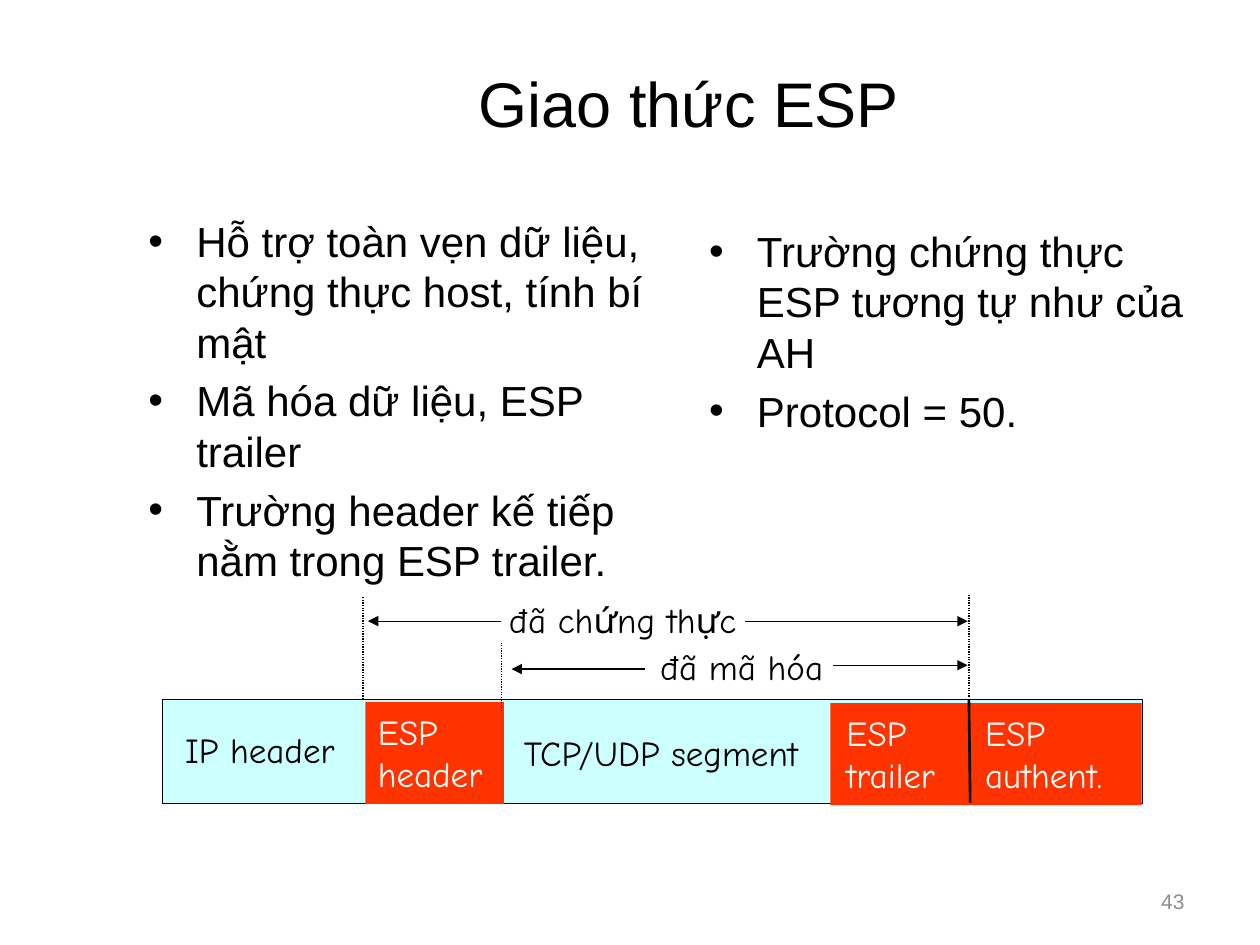
from lxml import etree
from pptx import Presentation
from pptx.dml.color import RGBColor
from pptx.enum.dml import MSO_LINE
from pptx.enum.shapes import MSO_CONNECTOR, MSO_SHAPE
from pptx.enum.text import MSO_ANCHOR, PP_ALIGN
from pptx.oxml.ns import qn
from pptx.util import Inches, Pt

COLORS = {"black": "000000", "white": "FFFFFF", "grey": "8C8C8C", "cyan": "CCFFFF", "red": "FF3300"}
BODY, LABEL = "Arial", "Comic Neue"


def color(name):
    """Return the named colour."""
    return RGBColor.from_string(COLORS[name])


def add_bullet(p):
    """Give a paragraph a hanging bullet."""
    pPr = p._p.get_or_add_pPr()
    pPr.set("marL", str(Inches(0.38)))
    pPr.set("indent", str(-Inches(0.38)))
    etree.SubElement(pPr, qn("a:buFont")).set("typeface", BODY)
    etree.SubElement(pPr, qn("a:buChar")).set("char", "•")


def add_text(s, box, *lines, size=20, font=LABEL, fill="black", align=PP_ALIGN.LEFT,
             anchor=MSO_ANCHOR.TOP, wrap=False, bullet=False):
    """Add a text box with one paragraph per line."""
    tf = s.shapes.add_textbox(*map(Inches, box)).text_frame
    tf.word_wrap = wrap
    tf.vertical_anchor = anchor
    for i, line in enumerate(lines):
        p = tf.add_paragraph() if i else tf.paragraphs[0]
        p.alignment = align
        if bullet:
            p.space_before = Pt(size * 0.2)
            add_bullet(p)
        r = p.add_run()
        r.text = line
        r.font.size, r.font.name = Pt(size), font
        r.font.color.rgb = color(fill)


def add_rect(s, box, fill, outline=None):
    """Add a filled rectangle, outlined if a colour is given."""
    sp = s.shapes.add_shape(MSO_SHAPE.RECTANGLE, *map(Inches, box))
    sp.shadow.inherit = False
    sp.fill.solid()
    sp.fill.fore_color.rgb = color(fill)
    if outline:
        sp.line.color.rgb = color(outline)
        sp.line.width = Pt(0.75)
    else:
        sp.line.fill.background()


def add_line(s, start, end, width=0.75, arrow=False, dotted=False):
    """Add a straight black line, with an arrowhead at its end if asked."""
    c = s.shapes.add_connector(MSO_CONNECTOR.STRAIGHT, *map(Inches, (*start, *end)))
    c.line.color.rgb = color("black")
    c.line.width = Pt(width)
    if dotted:
        c.line.dash_style = MSO_LINE.ROUND_DOT
    if arrow:
        etree.SubElement(c.line._get_or_add_ln(), qn("a:tailEnd")).set("type", "triangle")
    etree.SubElement(c._element.spPr, qn("a:effectLst"))


def add_packet(s, x, y, w, h):
    """Draw the packet bar with its plain and ESP fields."""
    add_rect(s, (x, y, w, h), "cyan", "black")
    add_text(s, (x + 0.08, y + 0.18, 1.48, 0.43), "IP header")
    add_text(s, (x + 2.77, y + 0.21, 2.56, 0.43), "TCP/UDP segment")
    esp_fields = [("header", 1.61, 0.02, 1.1, 0), ("trailer", 5.3, 0.03, 1.1, 0.03),
                  ("authent.", 6.38, 0.03, 1.39, 0.05)]
    for name, dx, dy, width, inset in esp_fields:
        add_rect(s, (x + dx, y + dy, width, 0.81), "red")
        add_text(s, (x + dx + inset, y + dy + 0.02, width, 0.77), "ESP", name, fill="white")
    add_line(s, (x + 6.4, y), (x + 6.41, y + 0.82), width=1.5)


def add_spans(s, x, y, w, h):
    """Draw the authenticated and encrypted spans with their dotted limits."""
    right = x + w
    for left, top, bottom in [(x, y + 0.02, y + h), (right, y, y + h - 0.02),
                              (x + 1.1, y + 0.38, y + h + 0.09)]:
        add_line(s, (left, top), (left, bottom), dotted=True)
    spans = [("đã chứng thực", (x + 1.06, y - 0.02, 2.02, 0.44), x + 0.04, x + 3.03, 0.21, 0.21),
             ("đã mã hóa", (x + 2.26, y + 0.35, 1.5, 0.44), x + 1.18, x + 3.73, 0.59, 0.56)]
    for label, box, tip, tail, left_y, right_y in spans:
        add_text(s, box, label)
        add_line(s, (tip + 1.06, y + left_y), (tip, y + left_y), arrow=True)
        add_line(s, (tail, y + right_y), (right - 0.01, y + right_y), arrow=True)


def add_title(s, box):
    """Place the slide title."""
    add_text(s, box, "Giao thức ESP", size=36, font=BODY, wrap=True,
             align=PP_ALIGN.CENTER, anchor=MSO_ANCHOR.MIDDLE)


def add_bullets(s, box, *items):
    """Place one column of bullets."""
    add_text(s, box, *items, size=24, font=BODY, wrap=True, bullet=True)


def add_number(s, box):
    """Place the slide number."""
    add_text(s, box, "43", size=12, font=BODY, fill="grey", wrap=True,
             align=PP_ALIGN.RIGHT, anchor=MSO_ANCHOR.MIDDLE)


def main():
    """Build and save the slide."""
    prs = Presentation()
    prs.slide_width, prs.slide_height = Inches(10), Inches(7.5)
    s = prs.slides.add_slide(prs.slide_layouts[6])
    add_title(s, (1.17, 0.3, 8.6, 1.03))
    add_bullets(s, (1.08, 1.66, 4.39, 3.05),
                "Hỗ trợ toàn vẹn dữ liệu, chứng thực host, tính bí mật",
                "Mã hóa dữ liệu, ESP trailer",
                "Trường header kế tiếp nằm trong ESP trailer.")
    add_bullets(s, (5.53, 1.74, 4.17, 2.69),
                "Trường chứng thực ESP tương tự như của AH",
                "Protocol = 50.")
    add_number(s, (7.17, 6.95, 2.33, 0.4))
    add_packet(s, 1.29, 5.55, 7.78, 0.83)
    add_spans(s, 2.88, 4.72, 4.81, 0.83)
    prs.save("out.pptx")


if __name__ == "__main__":
    main()
